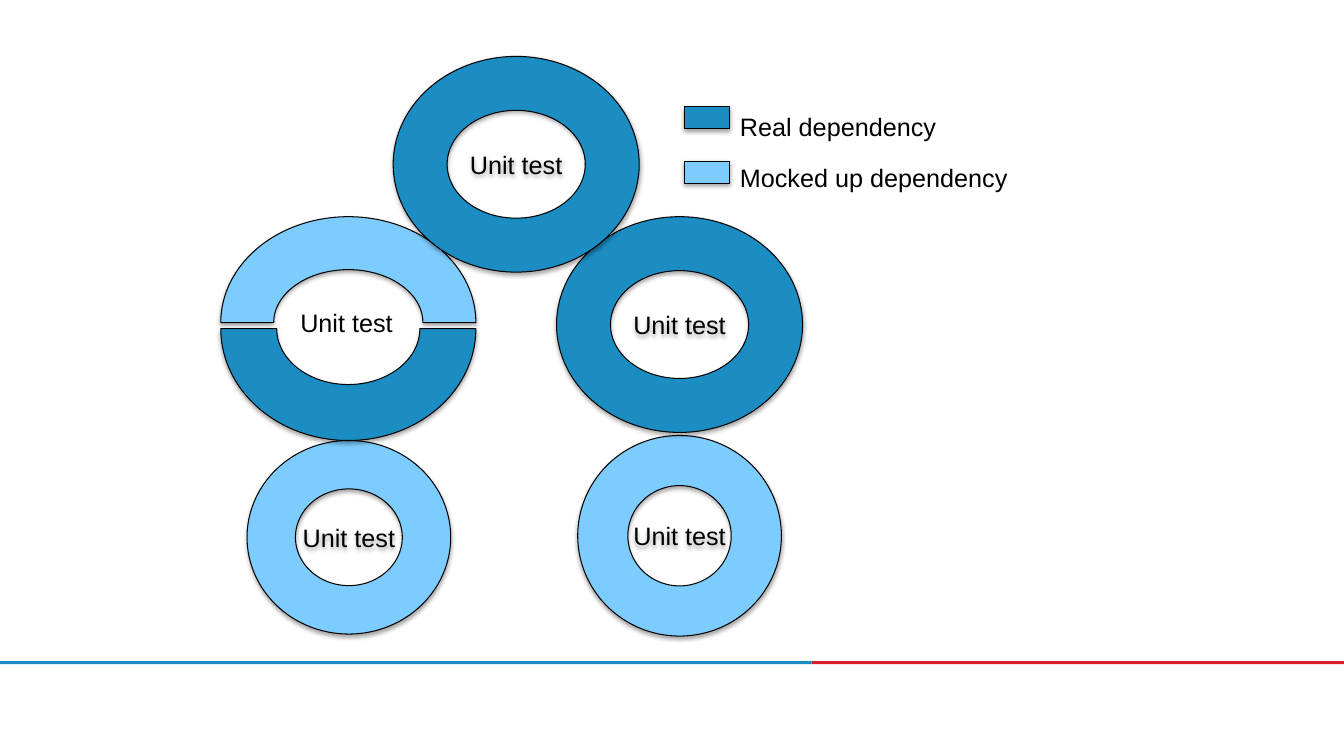
from dataclasses import dataclass

from lxml.etree import SubElement
from pptx import Presentation
from pptx.dml.color import RGBColor
from pptx.enum.shapes import MSO_SHAPE
from pptx.enum.text import MSO_ANCHOR, MSO_AUTO_SIZE, PP_ALIGN
from pptx.oxml.ns import qn
from pptx.util import Pt

PX = 9144  # 100 px to the inch


@dataclass(frozen=True)
class Theme:
    real: str = "1B8DC3"
    mocked: str = "7DCCFF"
    accent: str = "DA1F28"
    ink: str = "000000"
    font: str = "Arial"
    label_size: int = 18
    outline: float = 0.75


THEME = Theme()
UNIT_LABEL = "Unit test"


def to_emu(box):
    return [length * PX for length in box]


def write_text(text_frame, text):
    text_frame.text = text
    font = text_frame.paragraphs[0].runs[0].font
    font.name = THEME.font
    font.size = Pt(THEME.label_size)
    font.color.rgb = RGBColor.from_string(THEME.ink)


def add_plain_shape(slide, kind, box, color):
    shape = slide.shapes.add_shape(kind, *to_emu(box))
    shape.shadow.inherit = False
    shape.fill.solid()
    shape.fill.fore_color.rgb = RGBColor.from_string(color)
    shape.line.fill.background()
    return shape


def add_outlined_shape(slide, kind, box, color):
    """Add a filled shape with a thin outline and a soft shadow below it."""
    shape = add_plain_shape(slide, kind, box, color)
    shape.line.color.rgb = RGBColor.from_string(THEME.ink)
    shape.line.width = Pt(THEME.outline)
    effects = shape._element.spPr.find(qn("a:effectLst"))
    shadow = SubElement(effects, qn("a:outerShdw"), blurRad="40000", dist="23000",
                        dir="5400000", rotWithShape="0")
    shadow_color = SubElement(shadow, qn("a:srgbClr"), val=THEME.ink)
    SubElement(shadow_color, qn("a:alpha"), val="35000")
    return shape


def add_label(slide, box, text):
    label = slide.shapes.add_textbox(*to_emu(box))
    label.text_frame.word_wrap = False
    label.text_frame.auto_size = MSO_AUTO_SIZE.SHAPE_TO_FIT_TEXT
    write_text(label.text_frame, text)


def add_unit(slide, box, color):
    """Add a ring of dependencies around a unit test."""
    ring = add_outlined_shape(slide, MSO_SHAPE.DONUT, box, color)
    ring.text_frame.vertical_anchor = MSO_ANCHOR.MIDDLE
    write_text(ring.text_frame, UNIT_LABEL)
    ring.text_frame.paragraphs[0].alignment = PP_ALIGN.CENTER


def add_split_unit(slide, box):
    """Add a ring whose upper half is mocked and lower half is real."""
    left, top, width, height = box
    add_outlined_shape(slide, MSO_SHAPE.BLOCK_ARC,
                       (left, top, width, height - 12), THEME.mocked)
    lower_half = add_outlined_shape(slide, MSO_SHAPE.BLOCK_ARC, box, THEME.real)
    lower_half._element.spPr.find(qn("a:xfrm")).set("flipV", "1")
    add_label(slide, (left + 69, top + 85, 113, 40), UNIT_LABEL)


def add_legend(slide, box):
    left, top, width, height = box
    entries = (("Real dependency", THEME.real, 0, 0),
               ("Mocked up dependency", THEME.mocked, 54, 50))
    for text, color, swatch_offset, label_offset in entries:
        add_outlined_shape(slide, MSO_SHAPE.RECTANGLE,
                           (left, top + swatch_offset, 45, 22), color)
        add_label(slide, (left + 45, top + label_offset, width - 45, height - 50), text)


def add_footer_rule(slide, box):
    left, top, width, height = box
    split = 805
    add_plain_shape(slide, MSO_SHAPE.RECTANGLE,
                    (left + split, top, width - split, height), THEME.accent)
    add_plain_shape(slide, MSO_SHAPE.RECTANGLE, (left, top, split, height), THEME.real)


def add_unit_tree(slide, box):
    left, top = box[:2]
    add_unit(slide, (left + 26, top + 381, 202, 192), THEME.mocked)
    add_unit(slide, (left + 354, top + 376, 202, 199), THEME.mocked)
    add_split_unit(slide, (left, top + 159, 253, 222))
    add_unit(slide, (left + 333, top + 159, 244, 214), THEME.real)
    add_unit(slide, (left + 171, top, 244, 214), THEME.real)


def main():
    presentation = Presentation()
    presentation.slide_width = 1333 * PX
    presentation.slide_height = 750 * PX
    slide = presentation.slides.add_slide(presentation.slide_layouts[6])
    add_footer_rule(slide, (0, 656, 1333, 3))
    add_unit_tree(slide, (219, 56, 577, 575))
    add_legend(slide, (679, 106, 333, 90))
    presentation.save("out.pptx")


if __name__ == "__main__":
    main()
